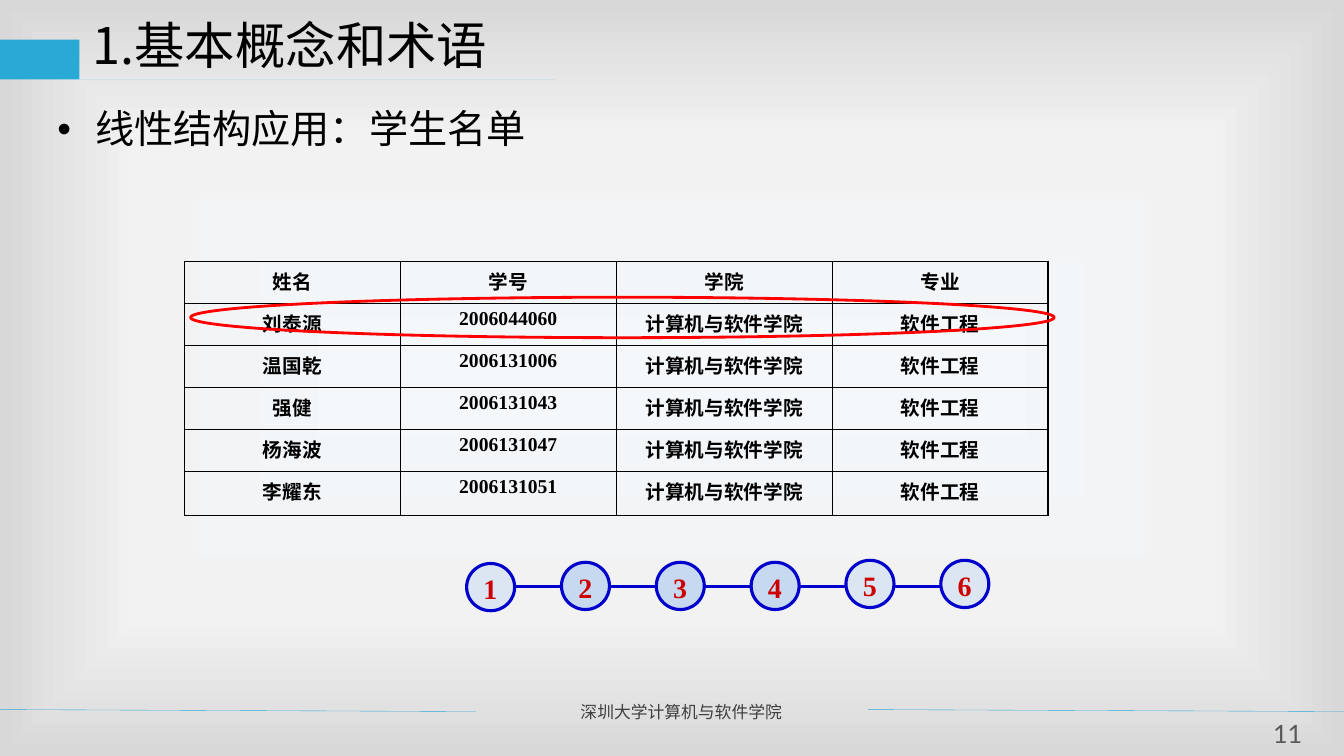
from dataclasses import dataclass
from itertools import pairwise
from typing import Optional

from lxml.etree import SubElement
from pptx import Presentation
from pptx.dml.color import RGBColor
from pptx.enum.shapes import MSO_CONNECTOR, MSO_SHAPE
from pptx.enum.text import MSO_ANCHOR, MSO_AUTO_SIZE, PP_ALIGN
from pptx.oxml import parse_xml
from pptx.oxml.ns import nsdecls, qn
from pptx.util import Cm, Pt


@dataclass(frozen=True)
class TextStyle:
    size: float
    font: str
    color: str
    align: PP_ALIGN = PP_ALIGN.LEFT
    bold: bool = False
    spacing: float = 1.0


@dataclass(frozen=True)
class Theme:
    cjk: str = "Noto Sans CJK SC"
    accent: str = "28A9D6"
    node_line: str = "0000CC"
    pale: str = "DCE6F2"
    blue: str = "C6D9F1"
    highlight: str = "FF0000"
    border: str = "000000"
    backdrop: tuple = ((0, "F4F8FB"), (63, "F2F2F2"), (100, "D8D8D8"))
    title: TextStyle = TextStyle(36, "Noto Sans CJK SC", "000000", spacing=0.9)
    body: TextStyle = TextStyle(28, "Noto Sans CJK SC", "000000", spacing=0.9)
    footer: TextStyle = TextStyle(12, "Lato", "3F3F3F", PP_ALIGN.JUSTIFY)
    page: TextStyle = TextStyle(18, "Lato", "595959", PP_ALIGN.CENTER)
    cell: TextStyle = TextStyle(14, "Times New Roman", "000000", PP_ALIGN.CENTER, True)
    node: TextStyle = TextStyle(20, "Times New Roman", "CC0000", PP_ALIGN.CENTER, True, 0.9)


@dataclass(frozen=True)
class Box:
    left: float
    top: float
    width: float
    height: float

    def emu(self) -> tuple:
        return Cm(self.left), Cm(self.top), Cm(self.width), Cm(self.height)


@dataclass(frozen=True)
class Node:
    label: str
    top: float
    fill: str


THEME = Theme()


def write(frame, text: str, style: TextStyle) -> None:
    frame.text = text
    paragraph = frame.paragraphs[0]
    paragraph.alignment = style.align
    paragraph.line_spacing = style.spacing
    paragraph.space_before = Pt(0)
    font = paragraph.font
    font.size, font.bold, font.name = Pt(style.size), style.bold, style.font
    font.color.rgb = RGBColor.from_string(style.color)
    properties = paragraph._p.pPr.find(qn("a:defRPr"))
    SubElement(properties, qn("a:ea"), typeface=THEME.cjk)


def add_label(slide, box: Box, text: str, style: TextStyle, wrap: bool = True,
              inset: Optional[float] = None) -> None:
    frame = slide.shapes.add_textbox(*box.emu()).text_frame
    frame.word_wrap = wrap
    if inset is not None:
        frame.margin_left = frame.margin_right = Cm(inset)
        frame.margin_top = frame.margin_bottom = Cm(inset)
    write(frame, text, style)


def add_line(slide, start: tuple, end: tuple, color: str, width: float) -> None:
    line = slide.shapes.add_connector(
        MSO_CONNECTOR.STRAIGHT, *(Cm(value) for value in start + end))
    line.line.color.rgb = RGBColor.from_string(color)
    line.line.width = Pt(width)
    SubElement(line._element.spPr, qn("a:effectLst"))


def add_ellipse(slide, box: Box, color: str, width: float,
                fill: Optional[str] = None) -> None:
    ellipse = slide.shapes.add_shape(MSO_SHAPE.OVAL, *box.emu())
    ellipse.shadow.inherit = False
    if fill:
        ellipse.fill.solid()
        ellipse.fill.fore_color.rgb = RGBColor.from_string(fill)
    else:
        ellipse.fill.background()
    ellipse.line.color.rgb = RGBColor.from_string(color)
    ellipse.line.width = Pt(width)


def fill_placeholder(placeholder, box: Box, text: str, style: TextStyle) -> None:
    placeholder.left, placeholder.top, placeholder.width, placeholder.height = box.emu()
    frame = placeholder.text_frame
    frame.auto_size = MSO_AUTO_SIZE.NONE
    frame.vertical_anchor = MSO_ANCHOR.TOP
    write(frame, text, style)


def set_backdrop(slide) -> None:
    slide.background.fill.gradient()
    gradient = slide.element.find(".//" + qn("a:gradFill"))
    for child in list(gradient):
        gradient.remove(child)
    stops = SubElement(gradient, qn("a:gsLst"))
    for position, color in THEME.backdrop:
        stop = SubElement(stops, qn("a:gs"), pos=str(position * 1000))
        SubElement(stop, qn("a:srgbClr"), val=color)
    shade = SubElement(gradient, qn("a:path"))
    shade.set("path", "rect")
    SubElement(shade, qn("a:fillToRect"), l="50000", t="50000", r="50000", b="50000")


def add_roster(slide, rows: list, box: Box, heights: list) -> None:
    roster = slide.shapes.add_table(len(rows), len(rows[0]), *box.emu()).table
    roster.first_row = roster.horz_banding = False
    for column in roster.columns:
        column.width = Cm(box.width / len(rows[0]))
    for row, height, entries in zip(roster.rows, heights, rows):
        row.height = Cm(height)
        for cell, entry in zip(row.cells, entries):
            write(cell.text_frame, entry, THEME.cell)
            cell.fill.background()
            properties = cell._tc.get_or_add_tcPr()
            for index, side in enumerate(("lnL", "lnR", "lnT", "lnB")):
                properties.insert(index, parse_xml(
                    f'<a:{side} {nsdecls("a")} w="12700"><a:solidFill>'
                    f'<a:srgbClr val="{THEME.border}"/></a:solidFill></a:{side}>'))


def add_chain(slide, nodes: list) -> None:
    left, pitch, width, height, link_y = 11.76, 2.39, 1.21, 1.19, 14.77
    lefts = [left + pitch * index for index in range(len(nodes))]
    for here, following in pairwise(lefts):
        add_line(slide, (here + width, link_y), (following, link_y), THEME.node_line, 2.25)
    for x, node in zip(lefts, nodes):
        add_ellipse(slide, Box(x, node.top, width, height), THEME.node_line, 2.25, node.fill)
        add_label(slide, Box(x + 0.17, node.top + 0.17, 0.86, 1.02), node.label,
                  THEME.node, wrap=False)


def main() -> None:
    presentation = Presentation()
    presentation.slide_width, presentation.slide_height = Cm(33.87), Cm(19.05)
    slide = presentation.slides.add_slide(presentation.slide_layouts[1])
    set_backdrop(slide)

    # Heading ornament and underline
    outline = [(2.1, 1.17), (2.1, 2.32), (13.72, 2.32), (13.72, 2.35), (1.96, 2.35),
               (1.96, 1.22), (1.5, 1.22), (1.5, 2.35), (0.48, 2.35), (0.48, 1.17),
               (0.81, 1.17), (0.81, 2.29), (1.24, 2.29), (1.24, 1.17)]
    builder = slide.shapes.build_freeform(*outline[0], scale=Cm(1))
    builder.add_line_segments(outline[1:], close=True)
    ornament = builder.convert_to_shape()
    ornament.shadow.inherit = False
    ornament.fill.solid()
    ornament.fill.fore_color.rgb = RGBColor.from_string(THEME.accent)
    ornament.line.fill.background()

    # Footer
    for start, end in ((0, 11.99), (21.87, 33.87)):
        add_line(slide, (start, 17.88), (end, 17.93), THEME.accent, 0.25)
    add_label(slide, Box(14.38, 17.55, 7.24, 0.76), "深圳大学计算机与软件学院", THEME.footer)
    add_label(slide, Box(31.7, 18.11, 1.5, 0.79), "11", THEME.page, inset=0)

    # Title and bullet
    heading, topic = slide.placeholders
    fill_placeholder(heading, Box(2.08, 0.41, 30.48, 2.21), "1.基本概念和术语", THEME.title)
    bullet = topic.text_frame.paragraphs[0]._p.get_or_add_pPr()
    bullet.set("marL", str(Cm(1.27)))
    bullet.set("indent", str(-Cm(1.27)))
    SubElement(bullet, qn("a:buChar"), char="●")
    fill_placeholder(topic, Box(1.19, 2.64, 30.81, 14.3), "线性结构应用：学生名单", THEME.body)

    # Linked nodes
    add_chain(slide, [
        Node("1", 14.2, THEME.pale), Node("2", 14.17, THEME.blue),
        Node("3", 14.17, THEME.blue), Node("4", 14.17, THEME.blue),
        Node("5", 14.12, THEME.pale), Node("6", 14.12, THEME.pale)])

    # Student roster with the first record circled
    students = [("刘泰源", "2006044060"), ("温国乾", "2006131006"), ("强健", "2006131043"),
                ("杨海波", "2006131047"), ("李耀东", "2006131051")]
    rows = [("姓名", "学号", "学院", "专业")]
    rows += [(*student, "计算机与软件学院", "软件工程") for student in students]
    add_roster(slide, rows, Box(4.65, 6.58, 21.76, 6.41), [1.06] * 5 + [1.11])
    add_ellipse(slide, Box(4.8, 7.49, 21.77, 1.02), THEME.highlight, 2)

    presentation.save("out.pptx")


if __name__ == "__main__":
    main()
